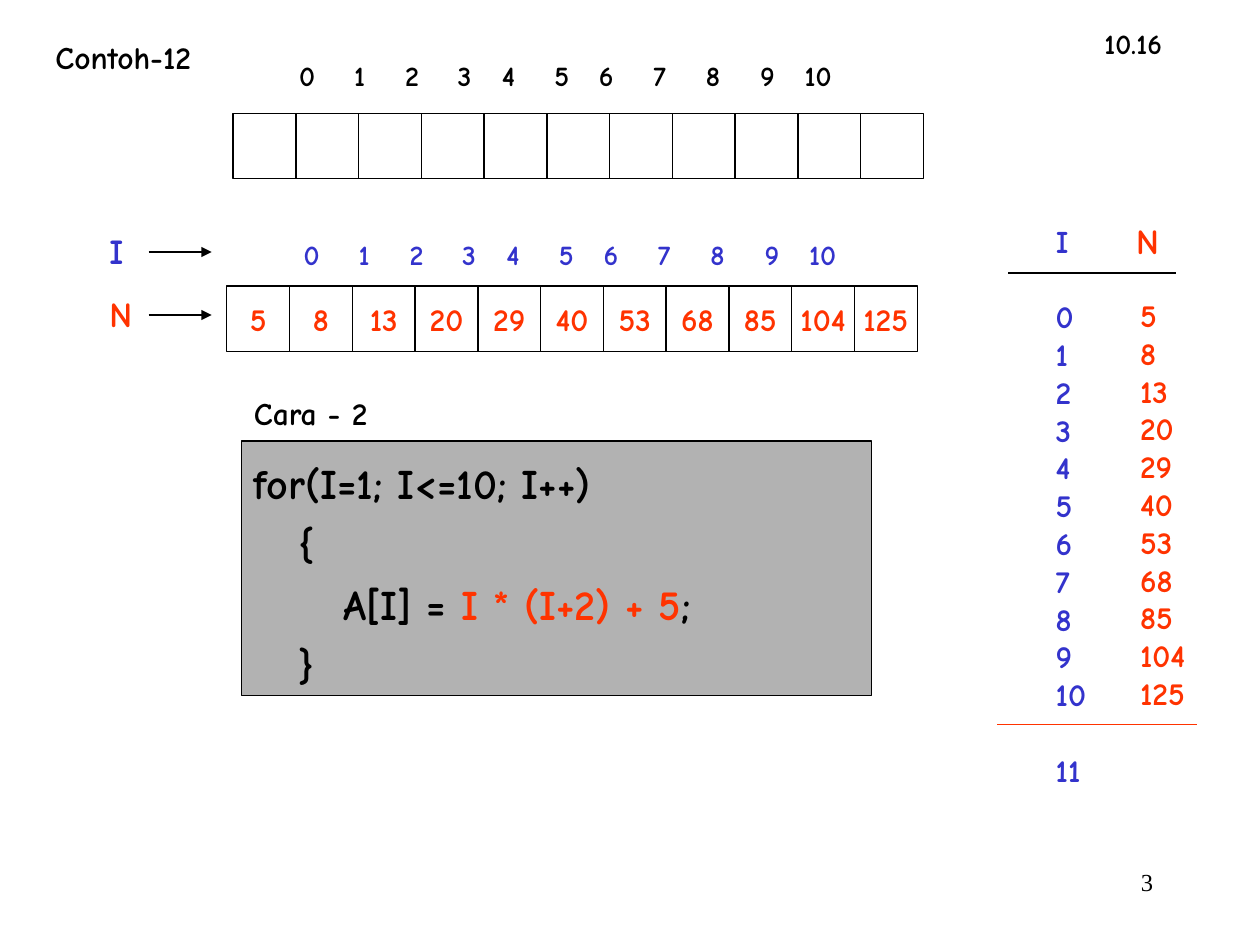
import pptx
import pptx.dml.color
import pptx.enum.shapes
import pptx.enum.text
import pptx.util
from lxml import etree

Pt = pptx.util.Pt
ALIGN = pptx.enum.text.PP_ALIGN
ANCHOR = pptx.enum.text.MSO_ANCHOR
FONT = "Comic Neue"
BLACK, BLUE, RED, GREY = "000000", "3333CC", "FF3300", "B2B2B2"
INDEXES = range(11)
VALUES = [i * (i + 2) + 5 for i in INDEXES]
INDEX_STOPS = [10, 40, 70, 100, 125, 155.5, 181, 211.5, 242, 273, 302]
CELL_WIDTH, CELL_HEIGHT, CELL_PITCH = 36, 37.4, 35.86
LINE_HEIGHT = 21.6


def rgb(value):
    return pptx.dml.color.RGBColor.from_string(value)


def style_run(run, size, color, name=FONT, bold=True):
    run.font.size = Pt(size)
    run.font.name = name
    run.font.bold = bold
    run.font.color.rgb = rgb(color)


def fill_text(shape, lines, size, color, align=ALIGN.LEFT, name=FONT, bold=True):
    """Put one paragraph per line into the shape, all in one style."""
    frame = shape.text_frame
    frame.text = "\n".join(lines)
    frame.word_wrap = True
    frame.vertical_anchor = ANCHOR.TOP
    for para in frame.paragraphs:
        para.alignment = align
        for run in para.runs:
            style_run(run, size, color, name, bold)
    return frame


def add_text(slide, left, top, width, height, lines, size, color, **style):
    box = slide.shapes.add_textbox(Pt(left), Pt(top), Pt(width), Pt(height))
    fill_text(box, lines, size, color, **style)
    return box


def add_title(slide, left, top, width, height, text):
    title = slide.shapes.title
    title.left, title.top, title.width, title.height = map(Pt, (left, top, width, height))
    frame = fill_text(title, [text], 18, BLACK)
    frame.auto_size = pptx.enum.text.MSO_AUTO_SIZE.NONE
    frame.margin_left = frame.margin_right = Pt(7.2)
    frame.margin_top = frame.margin_bottom = Pt(3.6)


def add_rectangle(slide, left, top, width, height, fill=None):
    shape = slide.shapes.add_shape(
        pptx.enum.shapes.MSO_SHAPE.RECTANGLE, Pt(left), Pt(top), Pt(width), Pt(height))
    shape.shadow.inherit = False
    shape.line.color.rgb = rgb(BLACK)
    shape.line.width = Pt(0.75)
    if fill:
        shape.fill.solid()
        shape.fill.fore_color.rgb = rgb(fill)
    else:
        shape.fill.background()
    return shape


def add_array(slide, left, top, values=None):
    """Draw a row of cells, empty unless values are given."""
    for i in INDEXES:
        cell = add_rectangle(slide, left + i * CELL_PITCH, top, CELL_WIDTH, CELL_HEIGHT)
        if values:
            frame = fill_text(cell, [str(values[i])], 18, RED, align=ALIGN.CENTER)
            frame.word_wrap = False
            frame.vertical_anchor = ANCHOR.MIDDLE


def add_index_row(slide, left, top, color):
    """Write the indexes in one line, each centred on its tab stop."""
    text = "".join(f"\t{i}" for i in INDEXES)
    box = add_text(slide, left, top, 335, 26.6, [text], 16, color)
    properties = box.text_frame.paragraphs[0]._p.get_or_add_pPr()
    tabs = etree.SubElement(properties, pptx.oxml.ns.qn("a:tabLst"))
    for stop in INDEX_STOPS:
        etree.SubElement(tabs, pptx.oxml.ns.qn("a:tab"), pos=str(int(Pt(stop))), algn="ctr")


def add_line(slide, left, right, y, color=BLACK, arrow=False):
    line = slide.shapes.add_connector(
        pptx.enum.shapes.MSO_CONNECTOR.STRAIGHT, Pt(left), Pt(y), Pt(right), Pt(y))
    line.line.color.rgb = rgb(color)
    line.line.width = Pt(0.75)
    if arrow:
        etree.SubElement(line.line._get_or_add_ln(), pptx.oxml.ns.qn("a:tailEnd"), type="triangle")
    etree.SubElement(line._element.spPr, pptx.oxml.ns.qn("a:effectLst"))


def add_code(slide):
    lines = ["for(I=1; I<=10; I++)", "   {", "      A[I] = ", "   }"]
    panel = add_rectangle(slide, 138, 252, 360, 145.4, GREY)
    frame = fill_text(panel, lines, 24, BLACK)
    for text, color in (("I * (I+2) + 5", RED), (";", BLACK)):
        span = frame.paragraphs[2].add_run()
        span.text = text
        style_run(span, 24, color)
    for para in frame.paragraphs:
        para.line_spacing = 1.2


def add_trace(slide):
    """List the successive values of I and N in two columns."""
    left, top = 596.2, 123.1
    list_height = len(INDEXES) * LINE_HEIGHT + 7.2
    add_text(slide, left, top, 32, 28.8, ["I"], 18, BLUE)
    add_text(slide, left, top + 2 * LINE_HEIGHT, 36, list_height,
             [str(i) for i in INDEXES], 18, BLUE)
    add_text(slide, left, top + 14 * LINE_HEIGHT, 36, 28.8, ["11"], 18, BLUE)
    add_text(slide, 642.2, 121.7, 32, 31.7, ["N"], 20, RED)
    add_text(slide, 644.4, 165.6, 44, list_height, [str(n) for n in VALUES], 18, RED)
    add_line(slide, 576, 672, 156)
    add_line(slide, 570, 684, 414, RED)


def main():
    deck = pptx.Presentation()
    deck.slide_width, deck.slide_height = Pt(720), Pt(540)
    slide = deck.slides.add_slide(deck.slide_layouts[5])

    add_title(slide, 24.5, 18, 96, 28.8, "Contoh-12")
    add_text(slide, 624, 11.5, 52, 26.6, ["10.16"], 16, BLACK)

    add_index_row(slide, 158.4, 30.2, BLACK)
    add_array(slide, 133.2, 64.8)
    add_index_row(slide, 161, 132, BLUE)
    add_array(slide, 129.6, 163.4, VALUES)
    for label, top, color in (("I", 127.4, BLUE), ("N", 163.4, RED)):
        add_text(slide, 55.4, top, 30, 31.7, [label], 20, color)
        add_line(slide, 85, 121, top + 16.6, arrow=True)

    add_text(slide, 138, 221.8, 84, 28.8, ["Cara - 2"], 18, BLACK)
    add_code(slide)
    add_trace(slide)
    add_text(slide, 516, 492, 150, 36, ["3"], 14, BLACK,
             align=ALIGN.RIGHT, name="Times New Roman", bold=False)
    deck.save("out.pptx")


if __name__ == "__main__":
    main()
